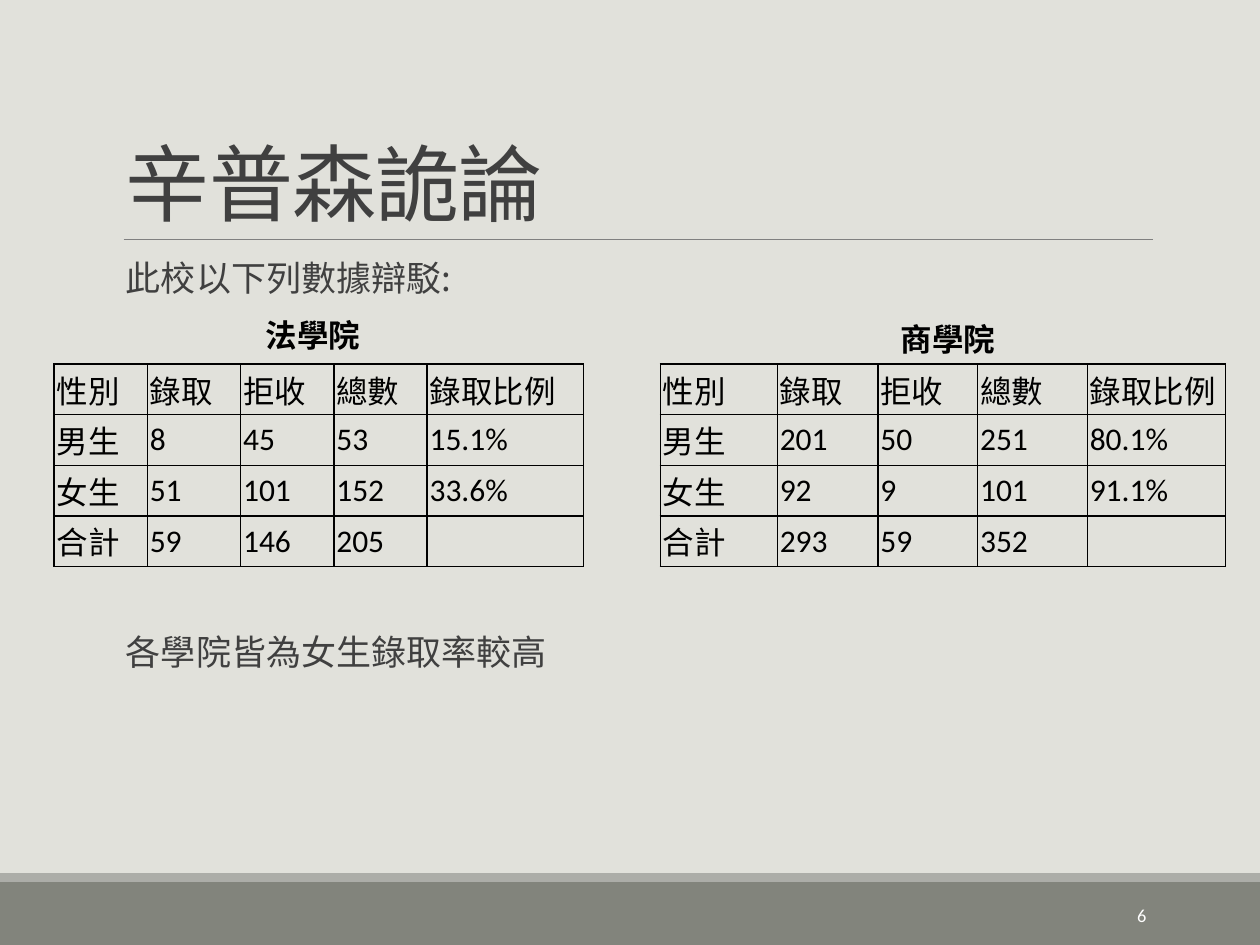
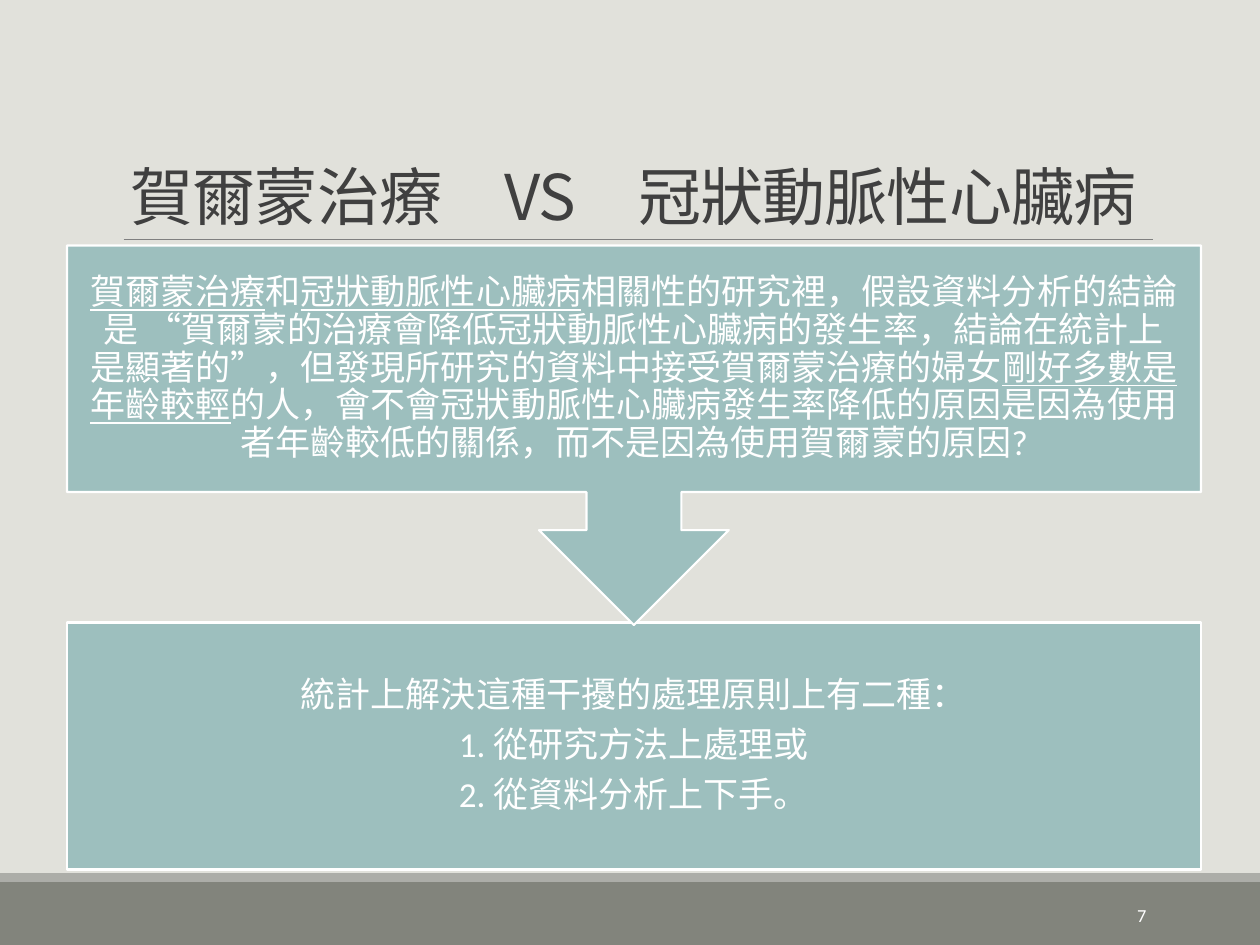
from lxml.etree import SubElement
from pptx import Presentation
from pptx.dml.color import RGBColor
from pptx.enum.shapes import MSO_CONNECTOR as Connector, MSO_SHAPE as Shape
from pptx.enum.text import MSO_ANCHOR as Anchor, PP_ALIGN as Align
from pptx.oxml import parse_xml
from pptx.oxml.ns import nsdecls, qn
from pptx.util import Cm, Pt

COLORS = {
    "paper": "E1E1DB",
    "band": "82847C",
    "band_edge": "ACADA8",
    "rule": "808080",
    "heading": "404040",
    "panel": "9DBFBE",
    "white": "FFFFFF",
    "black": "000000",
}
CJK = "Noto Sans CJK SC"
LATIN = "Calibri"
MARGIN = 0.25


class Deck:
    def __init__(self):
        self.prs = Presentation()
        self.prs.slide_width = Cm(25.4)
        self.prs.slide_height = Cm(19.05)
        self.slide = None

    def color(self, name):
        return RGBColor.from_string(COLORS[name])

    def new_slide(self, heading, number, size=48, align=Align.LEFT):
        self.slide = self.prs.slides.add_slide(self.prs.slide_layouts[6])
        fill = self.slide.background.fill
        fill.solid()
        fill.fore_color.rgb = self.color("paper")
        self.block(Shape.RECTANGLE, (0, 17.78, 25.4, 1.27), "band")
        self.block(Shape.RECTANGLE, (0, 17.6, 25.4, 0.18), "band_edge")
        self.rule(2.49, 23.24, 4.83)
        self.text((2.29, 0.79, 20.96, 4.04), [[(heading, False)]], size, "heading",
                  font=CJK, anchor=Anchor.BOTTOM, align=align, line=0.85, tracking=-50)
        self.text((20.62, 17.93, 2.74, 1.02), [[(str(number), False)]], 10.5, "white",
                  anchor=Anchor.MIDDLE, align=Align.RIGHT)

    def block(self, kind, box, fill, outline=None):
        shape = self.slide.shapes.add_shape(kind, *map(Cm, box))
        shape.shadow.inherit = False
        shape.fill.solid()
        shape.fill.fore_color.rgb = self.color(fill)
        if outline:
            shape.line.color.rgb = self.color(outline)
            shape.line.width = Pt(1.25)
        else:
            shape.line.fill.background()
        return shape

    def rule(self, left, right, y):
        line = self.slide.shapes.add_connector(
            Connector.STRAIGHT, Cm(left), Cm(y), Cm(right), Cm(y))
        line.line.color.rgb = self.color("rule")
        line.line.width = Pt(0.5)
        SubElement(line._element.spPr, qn("a:effectLst"))

    def run(self, paragraph, text, size, color, font=LATIN, bold=False,
            underline=False, tracking=0):
        run = paragraph.add_run()
        run.text = text
        run.font.size = Pt(size)
        run.font.bold = bold
        run.font.underline = underline
        run.font.color.rgb = self.color(color)
        run.font.name = font
        properties = run.font._element
        SubElement(properties, qn("a:ea")).set("typeface", CJK)
        if tracking:
            properties.set("spc", str(tracking))

    def fill_frame(self, frame, paragraphs, size, color, anchor=Anchor.TOP, align=Align.LEFT,
                   line=1.0, after=0, inset=(MARGIN, 0.13), **style):
        frame.word_wrap = True
        frame.vertical_anchor = anchor
        frame.margin_left = frame.margin_right = Cm(inset[0])
        frame.margin_top = frame.margin_bottom = Cm(inset[1])
        for index, runs in enumerate(paragraphs):
            paragraph = frame.add_paragraph() if index else frame.paragraphs[0]
            paragraph.alignment = align
            paragraph.line_spacing = line
            paragraph.space_after = Pt(after)
            for text, underline in runs:
                self.run(paragraph, text, size, color, underline=underline, **style)

    def text(self, box, paragraphs, size, color, **style):
        frame = self.slide.shapes.add_textbox(*map(Cm, box)).text_frame
        self.fill_frame(frame, paragraphs, size, color, **style)

    def statement(self, top, words):
        self.text((2.54, top, 20.7, 1.1), [[(words, False)]], 20, "heading",
                  font=CJK, line=0.9, inset=(0, 0.13))

    def panel(self, kind, box, paragraphs):
        frame = self.block(kind, box, "panel", "white").text_frame
        self.fill_frame(frame, paragraphs, 20, "white", anchor=Anchor.MIDDLE,
                        align=Align.CENTER, line=0.9, after=7, inset=(0.41, 0.41))

    def table(self, left, top, widths, rows, row_height=1.02):
        table = self.slide.shapes.add_table(
            len(rows), len(widths), Cm(left), Cm(top),
            Cm(sum(widths)), Cm(row_height * len(rows))).table
        table.first_row = table.horz_banding = False
        for column, width in zip(table.columns, widths):
            column.width = Cm(width)
        for row, values in zip(table.rows, rows):
            row.height = Cm(row_height)
            for cell, value in zip(row.cells, values):
                self.cell(cell, value)

    def cell(self, cell, value):
        cell.vertical_anchor = Anchor.MIDDLE
        cell.margin_left = cell.margin_right = Cm(0.05)
        cell.margin_top = cell.margin_bottom = Cm(0.05)
        properties = cell._tc.get_or_add_tcPr()
        for side in "LRTB":
            properties.append(parse_xml(
                f'<a:ln{side} {nsdecls("a")} w="12700"><a:solidFill>'
                f'<a:srgbClr val="{COLORS["black"]}"/></a:solidFill></a:ln{side}>'))
        cell.fill.background()
        paragraph = cell.text_frame.paragraphs[0]
        if value:
            self.run(paragraph, value, 18, "black")
        else:
            paragraph.font.size = Pt(18)

    def college(self, caption, caption_at, left, widths, records):
        header = ("性別", "錄取", "拒收", "總數", "錄取比例")
        self.table(left, 7.34, widths, [header, *records])
        self.text((*caption_at, 3.4, 1.02), [[(caption, False)]], 18, "black", bold=True)


def admissions(deck):
    deck.new_slide("辛普森詭論", 6)
    deck.statement(5.13, "此校以下列數據辯駁:")
    deck.statement(12.67, "各學院皆為女生錄取率較高")
    deck.college("法學院", (5.11, 6.25), 1.09, [1.88] * 4 + [3.15], [
        ("男生", "8", "45", "53", "15.1%"),
        ("女生", "51", "101", "152", "33.6%"),
        ("合計", "59", "146", "205", ""),
    ])
    deck.college("商學院", (17.91, 6.32), 13.31, [2.36, 2.03, 2.01, 2.21, 2.79], [
        ("男生", "201", "50", "251", "80.1%"),
        ("女生", "92", "9", "101", "91.1%"),
        ("合計", "293", "59", "352", ""),
    ])


def hormone_therapy(deck):
    deck.new_slide("賀爾蒙治療　VS　冠狀動脈性心臟病", 7, size=36, align=Align.CENTER)
    deck.panel(Shape.RECTANGLE, (1.35, 12.55, 22.86, 4.98), [
        [("統計上解決這種干擾的處理原則上有二種：", False)],
        [("1. 從研究方法上處理或", False)],
        [("2. 從資料分析上下手。", False)],
    ])
    deck.panel(Shape.DOWN_ARROW_CALLOUT, (1.35, 4.95, 22.86, 7.65), [[
        ("賀爾蒙治療", True),
        ("和", False),
        ("冠狀動脈性心臟病", True),
        ("相關性的研究裡，假設資料分析的結論是 “賀爾蒙的治療會降低冠狀動脈性心臟病的發生率，"
         "結論在統計上是顯著的”，但發現所研究的資料中接受賀爾蒙治療的婦女", False),
        ("剛好多數是年齡較輕", True),
        ("的人，會不會冠狀動脈性心臟病發生率降低的原因是因為使用者年齡較低的關係，"
         "而不是因為使用賀爾蒙的原因?", False),
    ]])


def main():
    deck = Deck()
    admissions(deck)
    hormone_therapy(deck)
    deck.prs.save("out.pptx")


if __name__ == "__main__":
    main()
